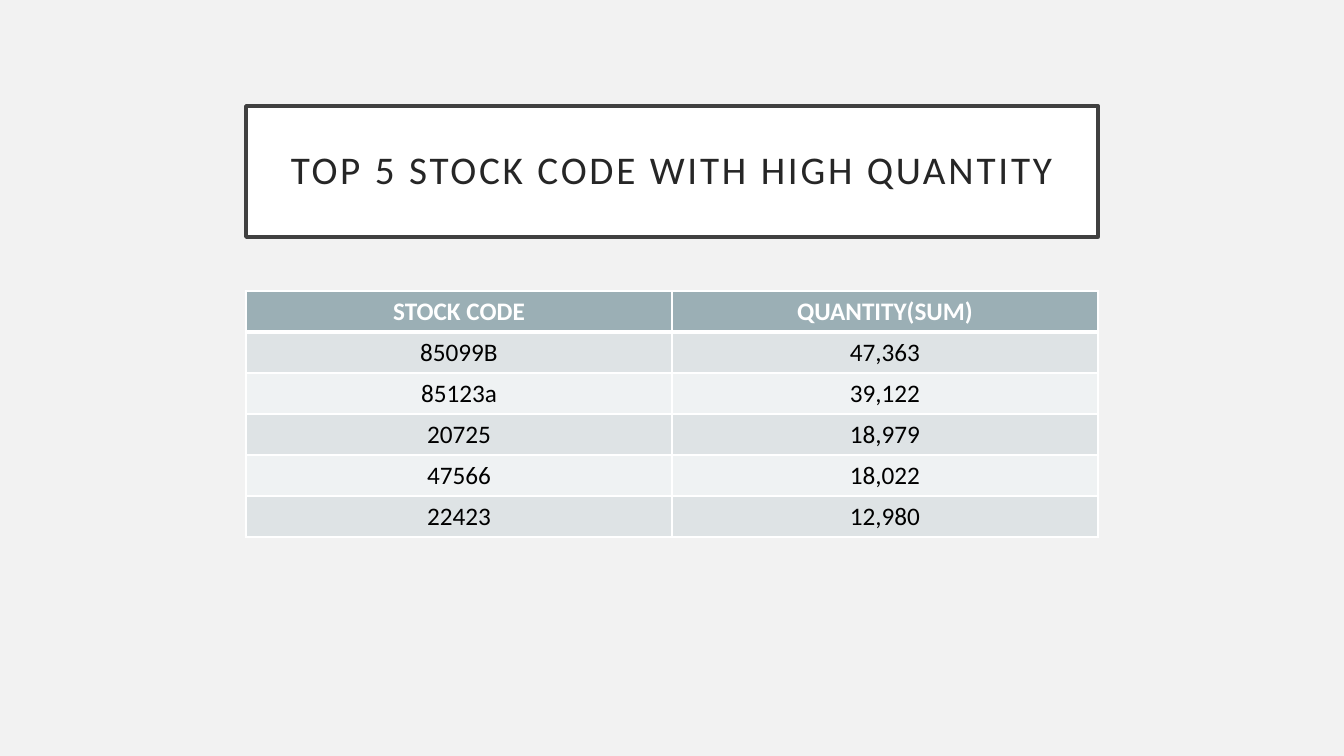
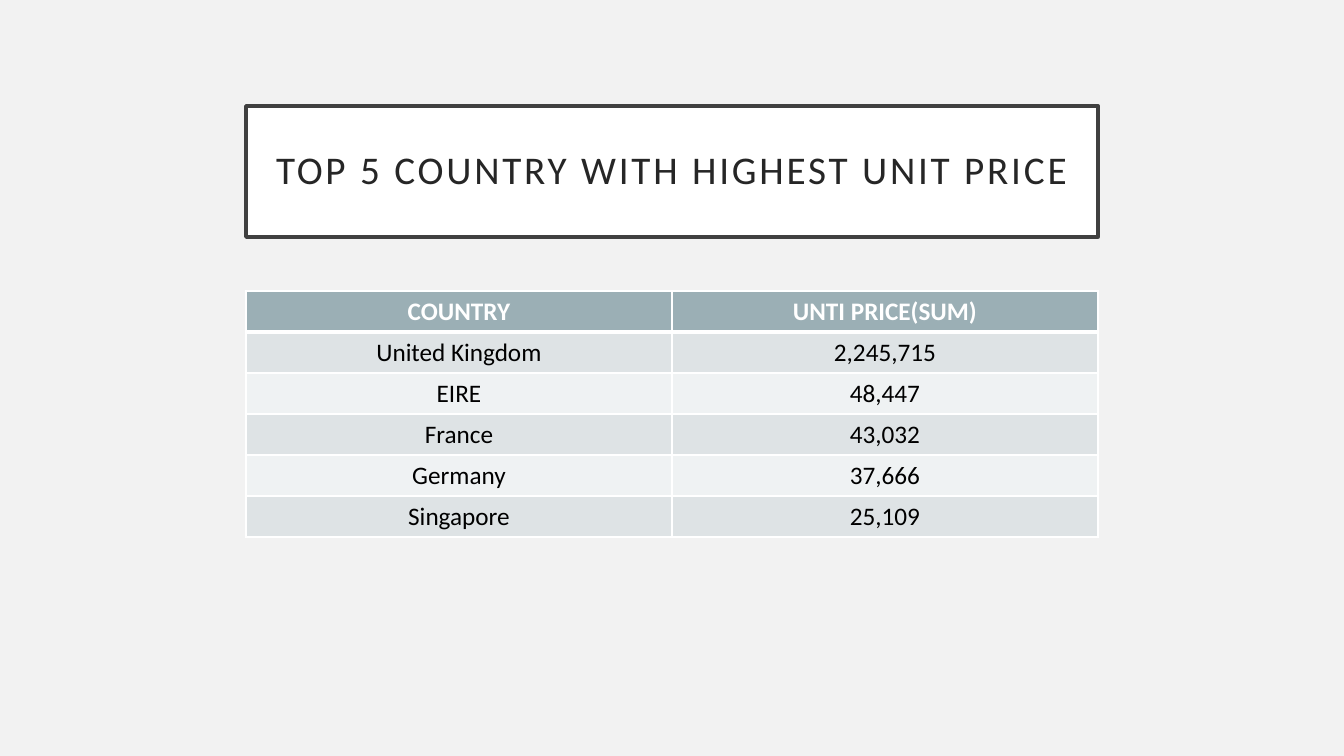
from lxml import etree
from pptx import Presentation
from pptx.dml.color import RGBColor
from pptx.enum.text import MSO_ANCHOR, MSO_AUTO_SIZE, PP_ALIGN
from pptx.oxml.ns import qn
from pptx.util import Pt

SLIDE_W, SLIDE_H = 1344, 756
EMU_PER_PX = 12192000 / SLIDE_W

BACKGROUND = RGBColor(0xF2, 0xF2, 0xF2)
WHITE = RGBColor(0xFF, 0xFF, 0xFF)
BLACK = RGBColor(0x00, 0x00, 0x00)
TITLE_TEXT = RGBColor(0x26, 0x26, 0x26)
TITLE_FRAME = RGBColor(0x40, 0x40, 0x40)
HEADER_FILL = RGBColor(0x9B, 0xAF, 0xB5)
ROW_FILLS = (RGBColor(0xDE, 0xE3, 0xE5), RGBColor(0xEF, 0xF2, 0xF3))

FONT = "Calibri"
TITLE_BOX = (246, 106, 852, 131)
TABLE_BOX = (246, 291, 852, 246)
TITLE_INSET = 20
GRID_PT, HEADER_RULE_PT = 1, 3

RANKINGS = [
    ("TOP 5 STOCK CODE WITH HIGH QUANTITY", [
        ("STOCK CODE", "QUANTITY(SUM)"),
        ("85099B", "47,363"),
        ("85123a", "39,122"),
        ("20725", "18,979"),
        ("47566", "18,022"),
        ("22423", "12,980"),
    ]),
    ("TOP 5 COUNTRY WITH HIGHEST UNIT PRICE", [
        ("COUNTRY", "UNTI PRICE(SUM)"),
        ("United Kingdom", "2,245,715"),
        ("EIRE", "48,447"),
        ("France", "43,032"),
        ("Germany", "37,666"),
        ("Singapore", "25,109"),
    ]),
]


def px(length):
    return round(length * EMU_PER_PX)


def write(frame, text, size, color, bold=False, tracking=0, line_spacing=1.0):
    """Set one centred paragraph; tracking is letter spacing in points."""
    paragraph = frame.paragraphs[0]
    paragraph.alignment = PP_ALIGN.CENTER
    paragraph.line_spacing = line_spacing
    run = paragraph.add_run()
    run.text = text
    run.font.name = FONT
    run.font.size = Pt(size)
    run.font.bold = bold
    run.font.color.rgb = color
    if tracking:
        run._r.get_or_add_rPr().set("spc", str(tracking * 100))


def add_title(slide, text, box):
    title = slide.shapes.title
    title.left, title.top, title.width, title.height = map(px, box)
    title.fill.solid()
    title.fill.fore_color.rgb = WHITE
    title.line.color.rgb = TITLE_FRAME
    title.line.width = Pt(2.5)
    frame = title.text_frame
    frame.word_wrap = True
    frame.auto_size = MSO_AUTO_SIZE.NONE
    frame.vertical_anchor = MSO_ANCHOR.MIDDLE
    frame.margin_left = frame.margin_right = px(TITLE_INSET)
    frame.margin_top = frame.margin_bottom = px(TITLE_INSET)
    write(frame, text, 28, TITLE_TEXT, tracking=2, line_spacing=0.9)


def set_borders(cell, top, bottom):
    """Draw white cell edges; top and bottom are widths in points."""
    properties = cell._tc.get_or_add_tcPr()
    edges = {"L": GRID_PT, "R": GRID_PT, "T": top, "B": bottom}
    for position, (side, width) in enumerate(edges.items()):
        edge = etree.Element(qn(f"a:ln{side}"), w=str(Pt(width)))
        fill = etree.SubElement(edge, qn("a:solidFill"))
        etree.SubElement(fill, qn("a:srgbClr"), val=str(WHITE))
        properties.insert(position, edge)


def add_ranking_table(slide, rows, box):
    left, top, width, height = box
    columns = len(rows[0])
    table = slide.shapes.add_table(len(rows), columns, *map(px, box)).table
    for column in table.columns:
        column.width = px(width / columns)
    for r, values in enumerate(rows):
        table.rows[r].height = px(height / len(rows))
        is_header = r == 0
        for c, value in enumerate(values):
            cell = table.cell(r, c)
            cell.fill.solid()
            cell.fill.fore_color.rgb = HEADER_FILL if is_header else ROW_FILLS[(r - 1) % 2]
            set_borders(cell,
                        top=HEADER_RULE_PT if r == 1 else GRID_PT,
                        bottom=HEADER_RULE_PT if is_header else GRID_PT)
            write(cell.text_frame, value, 18, WHITE if is_header else BLACK, bold=is_header)


def add_ranking_slide(deck, title, rows):
    slide = deck.slides.add_slide(deck.slide_layouts.get_by_name("Title Only"))
    add_title(slide, title, TITLE_BOX)
    add_ranking_table(slide, rows, TABLE_BOX)


def main():
    deck = Presentation()
    deck.slide_width, deck.slide_height = px(SLIDE_W), px(SLIDE_H)
    backdrop = deck.slide_master.background.fill
    backdrop.solid()
    backdrop.fore_color.rgb = BACKGROUND
    for title, rows in RANKINGS:
        add_ranking_slide(deck, title, rows)
    deck.save("out.pptx")


if __name__ == "__main__":
    main()
